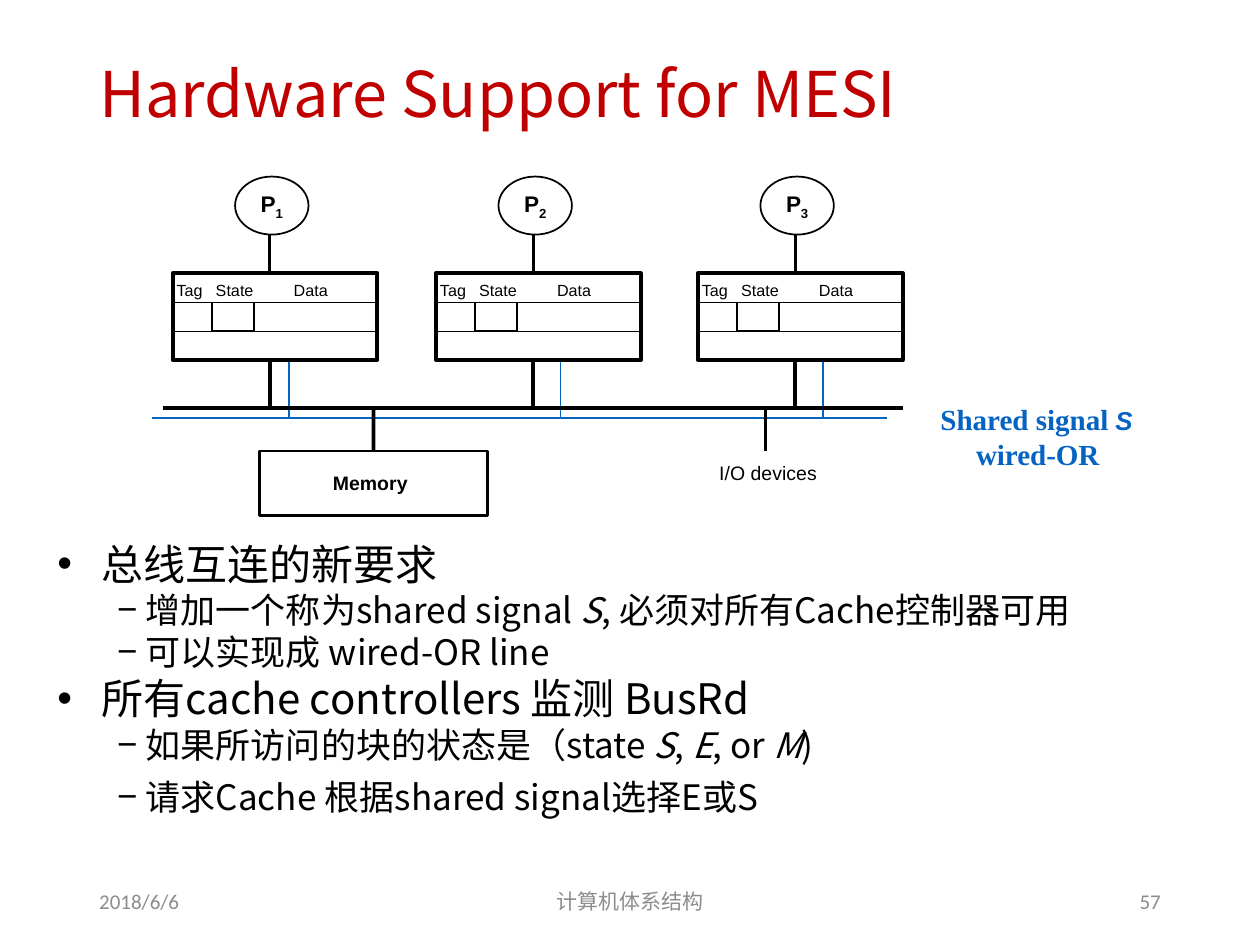
from dataclasses import dataclass, replace

from lxml.etree import SubElement
from pptx import Presentation
from pptx.dml.color import RGBColor
from pptx.enum.shapes import MSO_CONNECTOR, MSO_SHAPE
from pptx.enum.text import MSO_ANCHOR, PP_ALIGN
from pptx.oxml.ns import qn
from pptx.util import Cm, Pt

BLACK, WHITE, RED, BLUE, GREY = "000000", "FFFFFF", "C00000", "0563C1", "8C8C8C"
CJK = "Noto Sans CJK SC"
INSETS = (0.25, 0.13, 0.25, 0.13)
NO_INSETS = (0, 0, 0, 0)


@dataclass
class Run:
    text: str
    italic: bool = False
    size: float | None = None
    font: str | None = None
    baseline: int = 0


@dataclass
class Para:
    runs: list[Run]
    size: float | None = None
    align: PP_ALIGN = PP_ALIGN.LEFT
    bullet: str = ""
    margin: float = 0
    hanging: float = 0
    before: float = 0
    tabs: tuple[float, ...] = ()


@dataclass
class Cache:
    name: str
    left: float
    shared_x: float


CACHES = [Cache("1", 3.48, 5.82), Cache("2", 8.79, 11.3), Cache("3", 14.07, 16.59)]
CACHE_TOP, CACHE_W, CACHE_H = 5.51, 4.13, 1.75
CACHE_BOTTOM = CACHE_TOP + CACHE_H
ROWS = (6.1, 6.68)
STATE_X, DATA_X, PORT_X = 0.79, 2.36, 1.96
BUS_Y, SHARED_Y, MEMORY_TOP = 8.23, 8.43, 9.09


def rgb(color: str) -> RGBColor:
    return RGBColor.from_string(color)


def add_line(s, x1: float, y1: float, x2: float, y2: float, color: str, width: float):
    sp = s.shapes.add_connector(MSO_CONNECTOR.STRAIGHT, Cm(x1), Cm(y1), Cm(x2), Cm(y2))
    sp.line.color.rgb = rgb(color)
    sp.line.width = Pt(width)
    SubElement(sp._element.spPr, qn("a:effectLst"))
    return sp


def add_box(s, kind: MSO_SHAPE, x: float, y: float, w: float, h: float,
            width: float, fill: str | None = WHITE):
    sp = s.shapes.add_shape(kind, Cm(x), Cm(y), Cm(w), Cm(h))
    sp.shadow.inherit = False
    if fill:
        sp.fill.solid()
        sp.fill.fore_color.rgb = rgb(fill)
    else:
        sp.fill.background()
    sp.line.color.rgb = rgb(BLACK)
    sp.line.width = Pt(width)
    return sp


def format_para(p, para: Para) -> None:
    pPr = p._p.get_or_add_pPr()
    if para.bullet:
        pPr.set("marL", str(Cm(para.margin)))
        pPr.set("indent", str(Cm(-para.hanging)))
        SubElement(pPr, qn("a:buFont"), typeface="Arial")
        SubElement(pPr, qn("a:buChar"), char=para.bullet)
    if para.tabs:
        tab_list = SubElement(pPr, qn("a:tabLst"))
        for pos in para.tabs:
            SubElement(tab_list, qn("a:tab"), pos=str(Cm(pos)), algn="l")
    p.alignment = para.align
    if para.before:
        p.space_before = Pt(para.before)


def write(sp, paras: list[Para], *, size: float = 12, font: str = "Arial",
          color: str = BLACK, bold: bool = False, anchor=MSO_ANCHOR.TOP,
          wrap: bool = True, insets=INSETS, spacing: float | None = None) -> None:
    tf = sp.text_frame
    tf.word_wrap = wrap
    tf.vertical_anchor = anchor
    tf.margin_left, tf.margin_top, tf.margin_right, tf.margin_bottom = map(Cm, insets)
    for i, para in enumerate(paras):
        p = tf.add_paragraph() if i else tf.paragraphs[0]
        format_para(p, para)
        if spacing:
            p.line_spacing = spacing
        for run in para.runs:
            r = p.add_run()
            r.text = run.text
            r.font.size = Pt(run.size or para.size or size)
            r.font.name = run.font or font
            r.font.bold = bold
            r.font.italic = run.italic
            r.font.color.rgb = rgb(color)
            rPr = r.font._element
            SubElement(rPr, qn("a:ea"), typeface=CJK)
            if run.baseline:
                rPr.set("baseline", str(run.baseline * 1000))


def add_text(s, x: float, y: float, w: float, h: float, paras: list[Para], **fmt):
    sp = s.shapes.add_textbox(Cm(x), Cm(y), Cm(w), Cm(h))
    write(sp, paras, **fmt)
    return sp


def add_cache(s, cache: Cache) -> None:
    x, right, port = cache.left, cache.left + CACHE_W, cache.left + PORT_X
    add_box(s, MSO_SHAPE.RECTANGLE, x, CACHE_TOP, CACHE_W, CACHE_H, 2.25)
    cpu = add_box(s, MSO_SHAPE.OVAL, x + 1.26, 3.56, 1.48, 1.17, 1)
    write(cpu, [Para([Run("P"), Run(cache.name, baseline=-25)], align=PP_ALIGN.CENTER)],
          size=12.9, bold=True, anchor=MSO_ANCHOR.MIDDLE, wrap=False)
    add_line(s, port, 4.73, port, CACHE_TOP, BLACK, 1.5)
    add_line(s, port, CACHE_BOTTOM, port, BUS_Y, BLACK, 2.25)
    add_box(s, MSO_SHAPE.RECTANGLE, x + STATE_X, ROWS[0], 0.85, ROWS[1] - ROWS[0], 1)
    for y in ROWS:
        add_line(s, x, y, right, y, BLACK, 0.75)
    add_text(s, x - 0.05, CACHE_TOP + 0.01, CACHE_W, 0.53,
             [Para([Run("Tag\tState\tData")], tabs=(STATE_X, DATA_X))],
             size=9.2, insets=(0.13, 0.13, 0.25, 0))


def main() -> None:
    prs = Presentation()
    prs.slide_width, prs.slide_height = Cm(25.4), Cm(19.05)
    s = prs.slides.add_slide(prs.slide_layouts[6])

    # Title
    add_text(s, 1.75, 1.02, 21.9, 1.88, [Para([Run("Hardware Support for MESI")])],
             size=36, font=CJK, color=RED, anchor=MSO_ANCHOR.MIDDLE, spacing=0.9)

    # Bullets
    top = Para([], size=24, bullet="•", margin=0.89, hanging=0.89)
    sub = Para([], size=20, bullet="−", margin=1.78, hanging=0.58)
    bullets = [
        replace(top, runs=[Run("总线互连的新要求")]),
        replace(sub, runs=[Run("增加一个称为shared signal "), Run("S", italic=True),
                           Run(", 必须对所有Cache控制器可用")]),
        replace(sub, runs=[Run("可以实现成 wired-OR line")]),
        replace(top, runs=[Run("所有cache controllers 监测 BusRd")]),
        replace(sub, runs=[Run("如果所访问的块的状态是（state "), Run("S", italic=True),
                           Run(", "), Run("E", italic=True), Run(", or "),
                           Run("M", italic=True), Run(")")]),
        replace(sub, runs=[Run("请求Cache 根据shared signal选择E或S")], before=6),
    ]
    add_text(s, 0.91, 10.72, 23.98, 6.81, bullets, font=CJK)

    # Shared signal
    add_line(s, 3.07, SHARED_Y, 17.88, SHARED_Y, BLUE, 1)
    for cache in CACHES:
        add_line(s, cache.shared_x, SHARED_Y, cache.shared_x, CACHE_BOTTOM, BLUE, 1)
    add_text(s, 18.71, 7.96, 4.42, 1.68,
             [Para([Run("Shared signal "), Run("S", italic=True, size=14.8, font="Arial")]),
              Para([Run("wired-OR")], align=PP_ALIGN.CENTER)],
             size=16.6, font="Times New Roman", color=BLUE, bold=True)

    # Bus, memory and I/O
    add_line(s, 3.28, BUS_Y, 18.21, BUS_Y, BLACK, 2.13)
    memory = add_box(s, MSO_SHAPE.RECTANGLE, 5.23, MEMORY_TOP, 4.6, 1.3, 1.5, fill=None)
    memory_link = add_line(s, 7.53, BUS_Y, 7.53, MEMORY_TOP, BLACK, 2.13)
    memory_link.end_connect(memory, 0)
    add_line(s, 15.43, BUS_Y, 15.43, MEMORY_TOP, BLACK, 2.13)
    for label, x, y, w, bold in (("I/O devices", 14.5, 9.3, 1.98, False),
                                 ("Memory", 6.71, 9.5, 1.52, True)):
        add_text(s, x, y, w, 0.48, [Para([Run(label)])],
                 size=11.1, bold=bold, wrap=False, insets=NO_INSETS)

    # Processors with caches
    for cache in CACHES:
        add_cache(s, cache)

    # Footer
    for label, x, w, align in (("2018/6/6", 1.75, 5.72, PP_ALIGN.LEFT),
                               ("计算机体系结构", 8.41, 8.59, PP_ALIGN.CENTER),
                               ("57", 17.93, 5.72, PP_ALIGN.RIGHT)):
        add_text(s, x, 17.65, w, 1.02, [Para([Run(label)], align=align)],
                 font="Calibri", color=GREY, anchor=MSO_ANCHOR.MIDDLE)

    prs.save("out.pptx")


if __name__ == "__main__":
    main()
